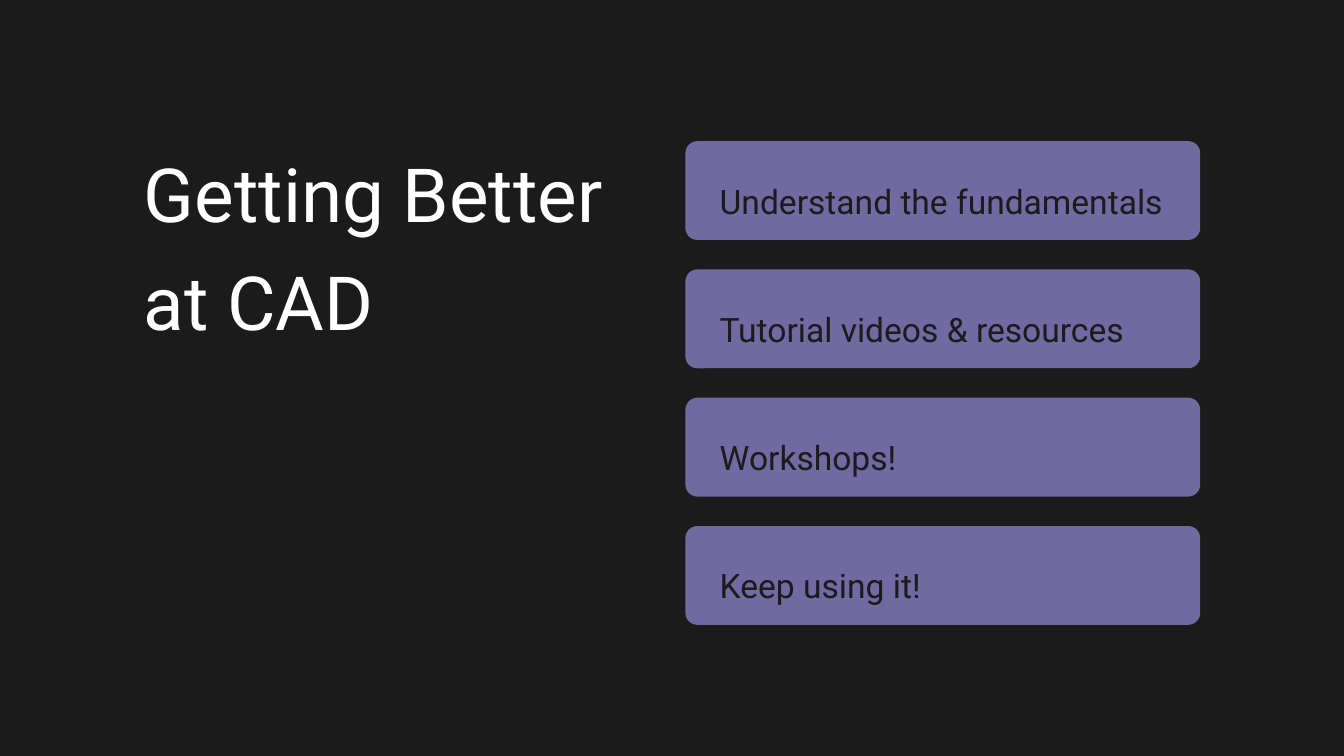
from pptx import Presentation
from pptx.dml.color import RGBColor
from pptx.enum.shapes import MSO_SHAPE
from pptx.enum.text import MSO_ANCHOR, MSO_AUTO_SIZE
from pptx.util import Inches, Pt

CHARCOAL = RGBColor(0x1B, 0x1B, 0x1B)
PURPLE = RGBColor(0x71, 0x69, 0xA1)
WHITE = RGBColor(0xFF, 0xFF, 0xFF)

STEPS = [
    "Understand the fundamentals",
    "Tutorial videos & resources",
    "Workshops!",
    "Keep using it!",
]
CARD_LEFT, CARD_TOP = 51, 18.67
CARD_WIDTH, CARD_HEIGHT = 38.3, 13.07
CARD_PITCH = 16.97
LABEL_INDENT, LABEL_DROP = 2.55, 3.6


class SlideBuilder:
    """Places elements on a grid of 100 columns by 100 rows."""

    font_name = "Roboto"

    def __init__(self, deck):
        self.column = deck.slide_width / 100
        self.row = deck.slide_height / 100
        self.page = deck.slides.add_slide(deck.slide_layouts[6])

    def frame(self, left, top, width, height):
        """Turn grid columns and rows into slide lengths."""
        return (round(left * self.column), round(top * self.row),
                round(width * self.column), round(height * self.row))

    def background(self, color):
        fill = self.page.background.fill
        fill.solid()
        fill.fore_color.rgb = color

    def card(self, left, top, width, height):
        card = self.page.shapes.add_shape(
            MSO_SHAPE.ROUNDED_RECTANGLE, *self.frame(left, top, width, height))
        card.adjustments[0] = 0.12
        card.shadow.inherit = False
        card.fill.solid()
        card.fill.fore_color.rgb = PURPLE
        card.line.fill.background()

    def text(self, words, left, top, width, height, size, color, spacing):
        box = self.page.shapes.add_textbox(*self.frame(left, top, width, height))
        frame = box.text_frame
        frame.margin_left = frame.margin_right = 0
        frame.margin_top = frame.margin_bottom = 0
        frame.word_wrap = True
        frame.auto_size = MSO_AUTO_SIZE.SHAPE_TO_FIT_TEXT
        frame.vertical_anchor = MSO_ANCHOR.TOP
        frame.text = words
        para = frame.paragraphs[0]
        para.line_spacing = spacing
        span = para.runs[0]
        span.font.name = self.font_name
        span.font.size = Pt(size)
        span.font.color.rgb = color


def main():
    deck = Presentation()
    deck.slide_width, deck.slide_height = Inches(20), Inches(11.25)
    builder = SlideBuilder(deck)
    builder.background(CHARCOAL)

    for index, step in enumerate(STEPS):
        top = CARD_TOP + index * CARD_PITCH
        builder.card(CARD_LEFT, top, CARD_WIDTH, CARD_HEIGHT)
        builder.text(step, CARD_LEFT + LABEL_INDENT, top + LABEL_DROP,
                     CARD_WIDTH - LABEL_INDENT, 5.42, 36, CHARCOAL, 1.3)

    builder.text("Getting Better at CAD", 10.7, 17.24, 36.55, 26.31,
                 80, WHITE, 1.2)
    deck.save("out.pptx")


if __name__ == "__main__":
    main()
